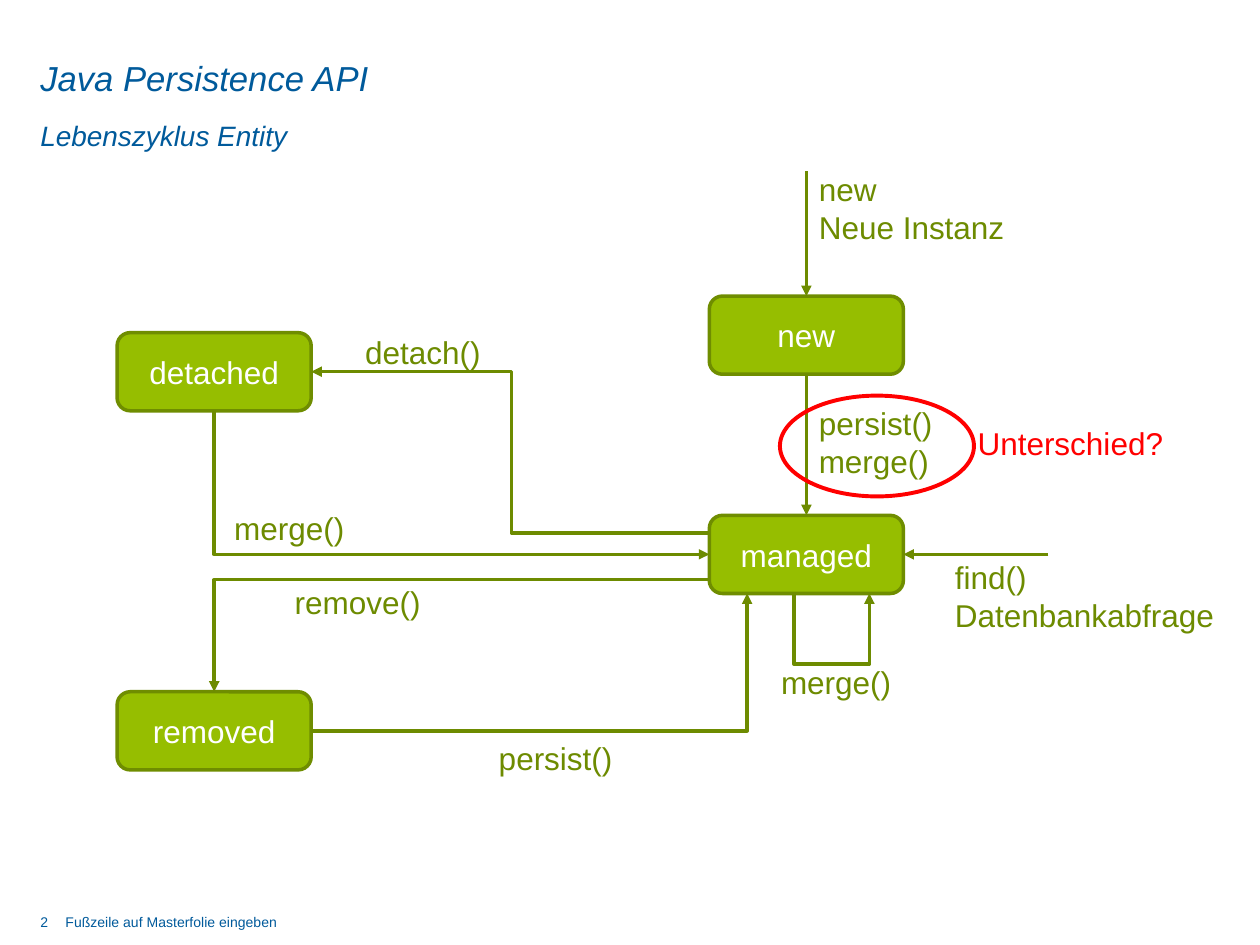
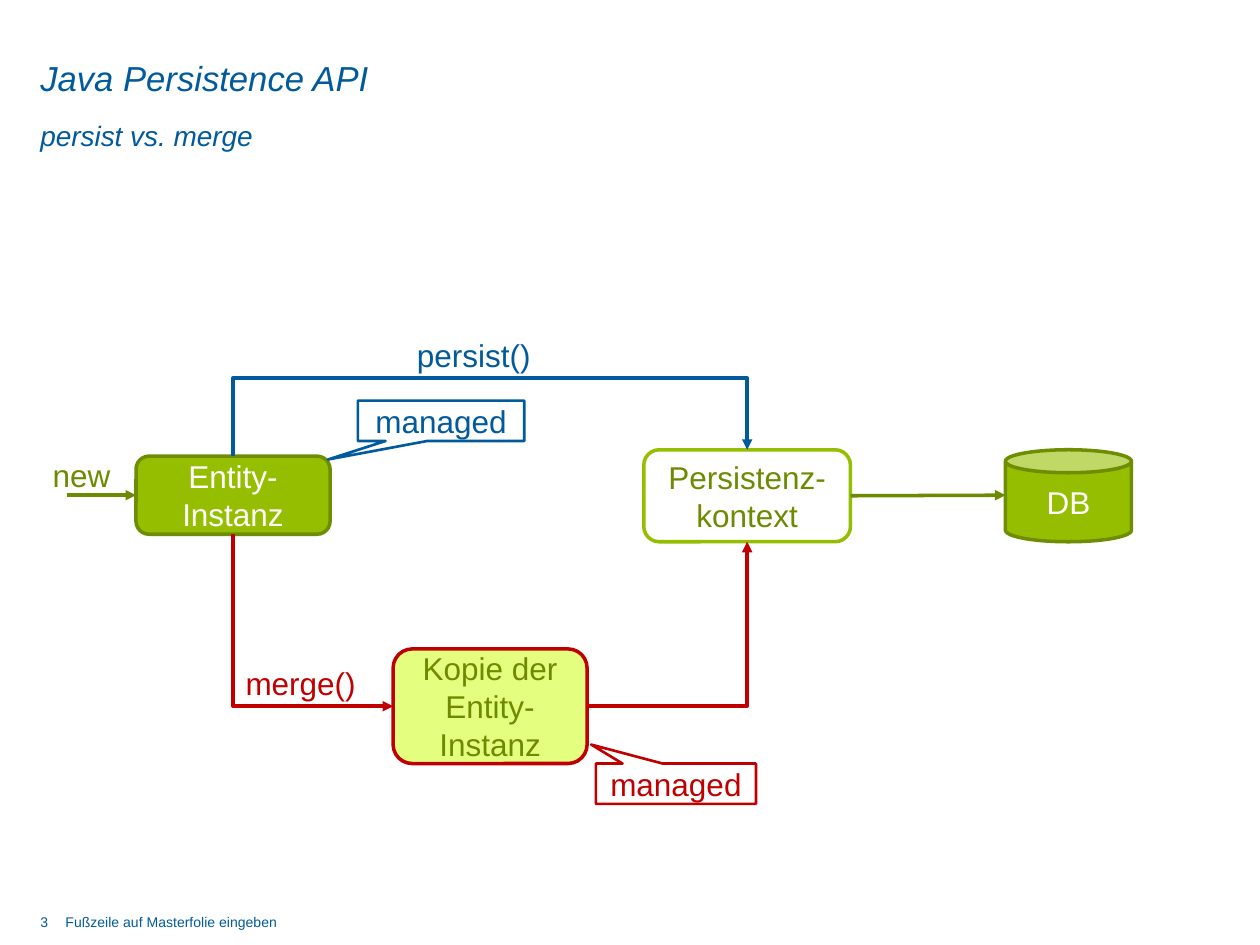
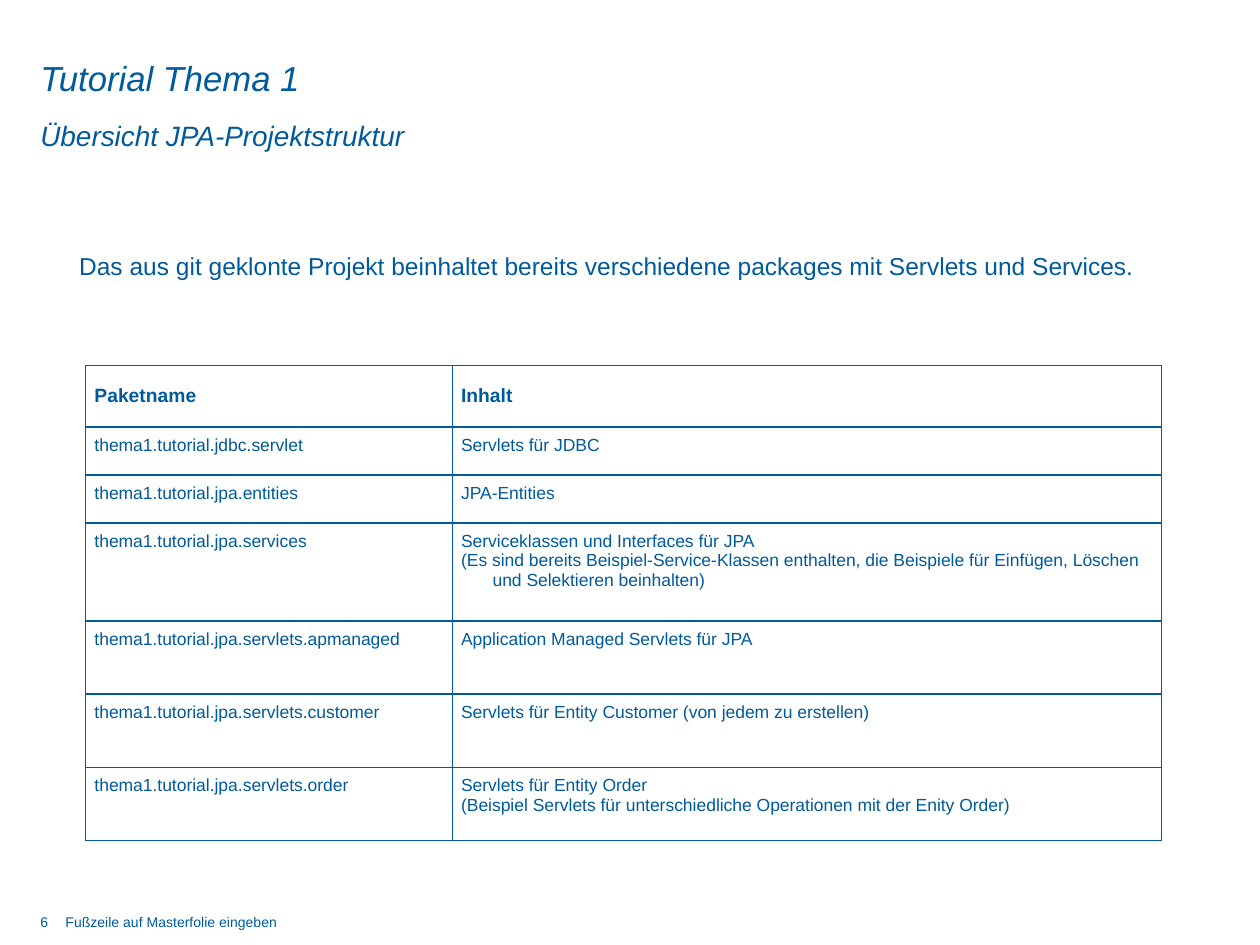
"""Builds three slides on the entity life cycle and the project structure of JPA."""
from dataclasses import dataclass

from lxml import etree
from pptx import Presentation
from pptx import util as u
from pptx.dml.color import RGBColor
from pptx.enum import shapes, text
from pptx.oxml.ns import qn


@dataclass(frozen=True)
class Theme:
    font: str = "Arial"
    blue: str = "005A9B"
    green: str = "96BE00"
    edge: str = "6F8D00"
    olive: str = "6D8B00"
    lime: str = "E4FF7F"
    crimson: str = "C00000"
    red: str = "FF0000"
    white: str = "FFFFFF"
    title: float = 19.8
    subtitle: float = 16
    label: float = 18
    intro: float = 14
    header: float = 11
    cell: float = 10
    footer: float = 8


T = Theme()
G = shapes.MSO_SHAPE
TOP, LEFT, BOTTOM, RIGHT = range(4)
FOOTER = "Fußzeile auf Masterfolie eingeben"
STATE = (1.54, 0.62)

LIFECYCLE = {
    "page": 2, "title": "Java Persistence API", "subtitle": "Lebenszyklus Entity",
    "nodes": {
        "new": (G.ROUNDED_RECTANGLE, "new", (5.63, 2.35, *STATE), T.green, T.edge, T.white),
        "detached": (G.ROUNDED_RECTANGLE, "detached", (0.93, 2.64, *STATE), T.green, T.edge, T.white),
        "removed": (G.ROUNDED_RECTANGLE, "removed", (0.93, 5.49, *STATE), T.green, T.edge, T.white),
        "managed": (G.ROUNDED_RECTANGLE, "managed", (5.63, 4.09, *STATE), T.green, T.edge, T.white),
    },
    "links": [
        ("straight", (6.4, 1.36), ("new", TOP), None, T.olive, True),
        ("straight", ("new", BOTTOM), ("managed", TOP), None, T.olive, True),
        ("straight", (8.32, 4.4), ("managed", RIGHT), None, T.olive, True),
        ("across", ("removed", RIGHT), (5.93, 4.71), 5.93, T.olive, True),
        ("across", (5.63, 4.6), ("removed", TOP), None, T.olive, True),
        ("across", (5.63, 4.23), ("detached", RIGHT), 4.06, T.olive, True),
        ("down", ("detached", BOTTOM), ("managed", LEFT), None, T.olive, True),
        ("down", (6.3, 4.71), (6.71, 5.27), 5.27, T.olive, False),
        ("across", (6.71, 5.27), (6.9, 4.71), 6.9, T.olive, True),
    ],
    "labels": [
        (["new", "Neue Instanz"], 6.4, 1.3, 1.69, T.olive),
        (["persist()", "merge()"], 6.4, 3.16, 1.11, T.olive),
        (["find()", "Datenbankabfrage"], 7.48, 4.38, 2.28, T.olive),
        (["persist()"], 3.86, 5.82, 1.11, T.olive),
        (["remove()"], 2.24, 4.58, 1.21, T.olive),
        (["detach()"], 2.8, 2.59, 1.13, T.olive),
        (["merge()"], 1.76, 3.99, 1.09, T.olive),
        (["merge()"], 6.1, 5.21, 1.09, T.olive),
        (["Unterschied?"], 7.66, 3.32, 1.69, T.red),
    ],
}

COMPARISON = {
    "page": 3, "title": "Java Persistence API", "subtitle": "persist vs. merge",
    "nodes": {
        "entity": (G.ROUNDED_RECTANGLE, "Entity-Instanz", (1.08, 3.62, *STATE), T.green, T.edge, T.white),
        "db": (G.CAN, "DB", (7.98, 3.57, 1, 0.73), T.green, T.edge, T.white),
        "context": (G.ROUNDED_RECTANGLE, "Persistenz-kontext", (5.11, 3.57, 1.64, 0.73),
                    T.white, T.green, T.olive),
        "copy": (G.ROUNDED_RECTANGLE, "Kopie der Entity-Instanz", (3.12, 5.15, 1.54, 0.91),
                 T.lime, T.crimson, T.olive),
    },
    "links": [
        ("straight", (0.53, 3.93), ("entity", LEFT), None, T.olive, True),
        ("straight", ("context", RIGHT), (7.98, 3.93), None, T.olive, True),
        ("down", ("entity", TOP), ("context", TOP), 3, T.blue, True),
        ("down", ("entity", BOTTOM), ("copy", LEFT), None, T.crimson, True),
        ("across", ("copy", RIGHT), ("context", BOTTOM), None, T.crimson, True),
    ],
    "labels": [
        (["new"], 0.32, 3.57, 0.66, T.olive),
        (["persist()"], 3.21, 2.62, 1.11, T.blue),
        (["merge()"], 1.85, 5.22, 1.09, T.crimson),
    ],
}
CALLOUTS = [
    ((2.84, 3.18, 1.32, 0.32), (-0.68, 0.96), T.blue),
    ((4.73, 6.06, 1.27, 0.32), (-0.53, -0.97), T.crimson),
]

STRUCTURE = {"page": 6, "title": "Tutorial Thema 1", "subtitle": "Übersicht JPA-Projektstruktur"}
INTRO = "Das aus git geklonte Projekt beinhaltet bereits verschiedene packages mit Servlets und Services."
COLUMNS = [2.91, 5.63]
PACKAGES = [
    (0.49, "Paketname", ["Inhalt"]),
    (0.38, "thema1.tutorial.jdbc.servlet", ["Servlets für JDBC"]),
    (0.38, "thema1.tutorial.jpa.entities", ["JPA-Entities"]),
    (0.78, "thema1.tutorial.jpa.services", [
        "Serviceklassen und Interfaces für JPA",
        "(Es sind bereits Beispiel-Service-Klassen enthalten, die Beispiele für Einfügen, "
        "Löschen und Selektieren beinhalten)"]),
    (0.58, "thema1.tutorial.jpa.servlets.apmanaged", ["Application Managed Servlets für JPA"]),
    (0.58, "thema1.tutorial.jpa.servlets.customer",
     ["Servlets für Entity Customer (von jedem zu erstellen)"]),
    (0.58, "thema1.tutorial.jpa.servlets.order", [
        "Servlets für Entity Order",
        "(Beispiel Servlets für unterschiedliche Operationen mit der Enity Order)"]),
]


def rgb(color):
    return RGBColor.from_string(color)


def inches(*lengths):
    return [u.Inches(n) for n in lengths]


def write(tf, lines, size, color, align=text.PP_ALIGN.LEFT, bold=False, italic=False):
    for i, line in enumerate(lines):
        p = tf.paragraphs[0] if i == 0 else tf.add_paragraph()
        p.alignment = align
        r = p.add_run()
        r.text = line
        f = r.font
        f.name, f.size, f.bold, f.italic = T.font, u.Pt(size), bold, italic
        f.color.rgb = rgb(color)


def frame(tf, anchor=text.MSO_ANCHOR.TOP):
    tf.margin_left = tf.margin_right = tf.margin_top = tf.margin_bottom = 0
    tf.word_wrap = True
    tf.auto_size = text.MSO_AUTO_SIZE.NONE
    tf.vertical_anchor = anchor


def add_page(prs, content):
    s = prs.slides.add_slide(prs.slide_layouts[0])
    heads = [(s.shapes.title, "title", 0.44, 0.36, T.title, text.MSO_ANCHOR.MIDDLE),
             (s.placeholders[1], "subtitle", 0.81, 0.37, T.subtitle, text.MSO_ANCHOR.TOP)]
    for sp, key, top, height, size, anchor in heads:
        sp.left, sp.top, sp.width, sp.height = inches(0.32, top, 8, height)
        frame(sp.text_frame, anchor)
        write(sp.text_frame, [content[key]], size, T.blue, italic=True)
        sp.text_frame.paragraphs[0].space_before = u.Pt(0)
    s.placeholders[1].text_frame.paragraphs[0].line_spacing = 1.5
    for left, width, line in [(0.32, 0.2, str(content["page"])), (0.52, 3.64, FOOTER)]:
        tf = s.shapes.add_textbox(*inches(left, 7.25, width, 0.23)).text_frame
        frame(tf)
        write(tf, [line], T.footer, T.blue)
    return s


def add_label(s, lines, left, top, width, color, size=T.label, wrap=False):
    sp = s.shapes.add_textbox(*inches(left, top, width, 0.09 + 0.31 * len(lines)))
    sp.text_frame.word_wrap = wrap
    sp.text_frame.auto_size = text.MSO_AUTO_SIZE.SHAPE_TO_FIT_TEXT
    write(sp.text_frame, lines, size, color)


def add_node(s, kind, label, box, fill, line, color, width=2):
    sp = s.shapes.add_shape(kind, *inches(*box))
    sp.shadow.inherit = False
    if fill:
        sp.fill.solid()
        sp.fill.fore_color.rgb = rgb(fill)
    else:
        sp.fill.background()
    sp.line.color.rgb = rgb(line)
    sp.line.width = u.Pt(width)
    if label:
        sp.text_frame.word_wrap = True
        sp.text_frame.vertical_anchor = text.MSO_ANCHOR.MIDDLE
        write(sp.text_frame, [label], T.label, color, text.PP_ALIGN.CENTER)
    return sp


def locate(end, nodes):
    if not isinstance(end[0], str):
        return inches(*end)
    sp, side = nodes[end[0]], end[1]
    across, down = [(0.5, 0), (0, 0.5), (0.5, 1), (1, 0.5)][side]
    return [int(sp.left + across * sp.width), int(sp.top + down * sp.height)]


def bend(c, route, start, end, turn):
    """Turns an elbow so that it leaves across or down, with a bend at turn or a single corner."""
    dx, dy = end[0] - start[0], end[1] - start[1]
    width, height = abs(dx), abs(dy)
    if route == "down":
        width, height = height, width
        rot = 270 if dx > 0 else 90
        flips = {"flipH": dx * dy > 0}
    else:
        rot = 0 if dx > 0 else 180
        flips = {"flipV": dx * dy < 0}
    c.left = (start[0] + end[0] - width) // 2
    c.top = (start[1] + end[1] - height) // 2
    c.width, c.height = width, height
    xfrm = c._element.spPr.find(qn("a:xfrm"))
    xfrm.set("rot", str(rot * 60000))
    for flip in ("flipH", "flipV"):
        xfrm.set(flip, "1" if flips.get(flip) else "0")
    geom = c._element.spPr.find(qn("a:prstGeom"))
    if turn is None:
        geom.set("prst", "bentConnector2")
    else:
        axis = 1 if route == "down" else 0
        share = (u.Inches(turn) - start[axis]) / (end[axis] - start[axis])
        etree.SubElement(geom.find(qn("a:avLst")), qn("a:gd"),
                         name="adj1", fmla=f"val {round(share * 100000)}")


def add_link(s, nodes, route, start, end, turn, color, arrow):
    kind = shapes.MSO_CONNECTOR.STRAIGHT if route == "straight" else shapes.MSO_CONNECTOR.ELBOW
    a, b = locate(start, nodes), locate(end, nodes)
    c = s.shapes.add_connector(kind, *a, *b)
    for point, join in ((start, c.begin_connect), (end, c.end_connect)):
        if isinstance(point[0], str):
            join(nodes[point[0]], point[1])
    if route != "straight":
        bend(c, route, a, b, turn)
    c.line.color.rgb = rgb(color)
    c.line.width = u.Pt(2)
    spPr = c._element.spPr
    if arrow:
        etree.SubElement(spPr.find(qn("a:ln")), qn("a:tailEnd"), type="triangle")
    etree.SubElement(spPr, qn("a:effectLst"))


def add_diagram(prs, content):
    s = add_page(prs, content)
    nodes = {name: add_node(s, *node) for name, node in content["nodes"].items()}
    for link in content["links"]:
        add_link(s, nodes, *link)
    for label in content["labels"]:
        add_label(s, *label)
    return s


def border(cell):
    tcPr = cell._tc.get_or_add_tcPr()
    for i, side in enumerate(("lnL", "lnR", "lnT", "lnB")):
        ln = etree.Element(qn(f"a:{side}"), w=str(u.Pt(1)))
        fill = etree.SubElement(ln, qn("a:solidFill"))
        etree.SubElement(fill, qn("a:srgbClr"), val=T.blue)
        tcPr.insert(i, ln)


def add_packages(s):
    heights = [row[0] for row in PACKAGES]
    table = s.shapes.add_table(len(PACKAGES), len(COLUMNS),
                               *inches(0.68, 2.9, sum(COLUMNS), sum(heights))).table
    table.first_row = table.horz_banding = False
    for col, width in zip(table.columns, COLUMNS):
        col.width = u.Inches(width)
    for i, (height, name, lines) in enumerate(PACKAGES):
        table.rows[i].height = u.Inches(height)
        head = i == 0
        for j, paras in enumerate(([name], lines)):
            cell = table.cell(i, j)
            cell.margin_left = cell.margin_right = u.Inches(0.07)
            cell.margin_top = cell.margin_bottom = u.Inches(0 if head else 0.07)
            cell.vertical_anchor = text.MSO_ANCHOR.MIDDLE if head else text.MSO_ANCHOR.TOP
            write(cell.text_frame, paras, T.header if head else T.cell, T.blue, bold=head)
            if j and not head:
                for k, p in enumerate(cell.text_frame.paragraphs):
                    hang = u.Inches(0.25 if k else 0.12)
                    pPr = p._p.get_or_add_pPr()
                    pPr.set("marL", str(hang))
                    pPr.set("indent", str(-hang))
            cell.fill.background()
            border(cell)


def main():
    prs = Presentation()
    prs.slide_width, prs.slide_height = inches(10, 7.5)

    s = add_diagram(prs, LIFECYCLE)
    add_node(s, G.OVAL, "", (6.19, 3.14, 1.54, 0.8), None, T.red, T.red, 2.25)

    s = add_diagram(prs, COMPARISON)
    for box, tip, color in CALLOUTS:
        sp = add_node(s, G.RECTANGULAR_CALLOUT, "managed", box, None, color, color, 1.5)
        sp.adjustments[0], sp.adjustments[1] = tip

    s = add_page(prs, STRUCTURE)
    add_packages(s)
    add_label(s, [INTRO], 0.53, 1.94, 9.17, T.blue, T.intro, wrap=True)

    prs.save("out.pptx")


if __name__ == "__main__":
    main()
